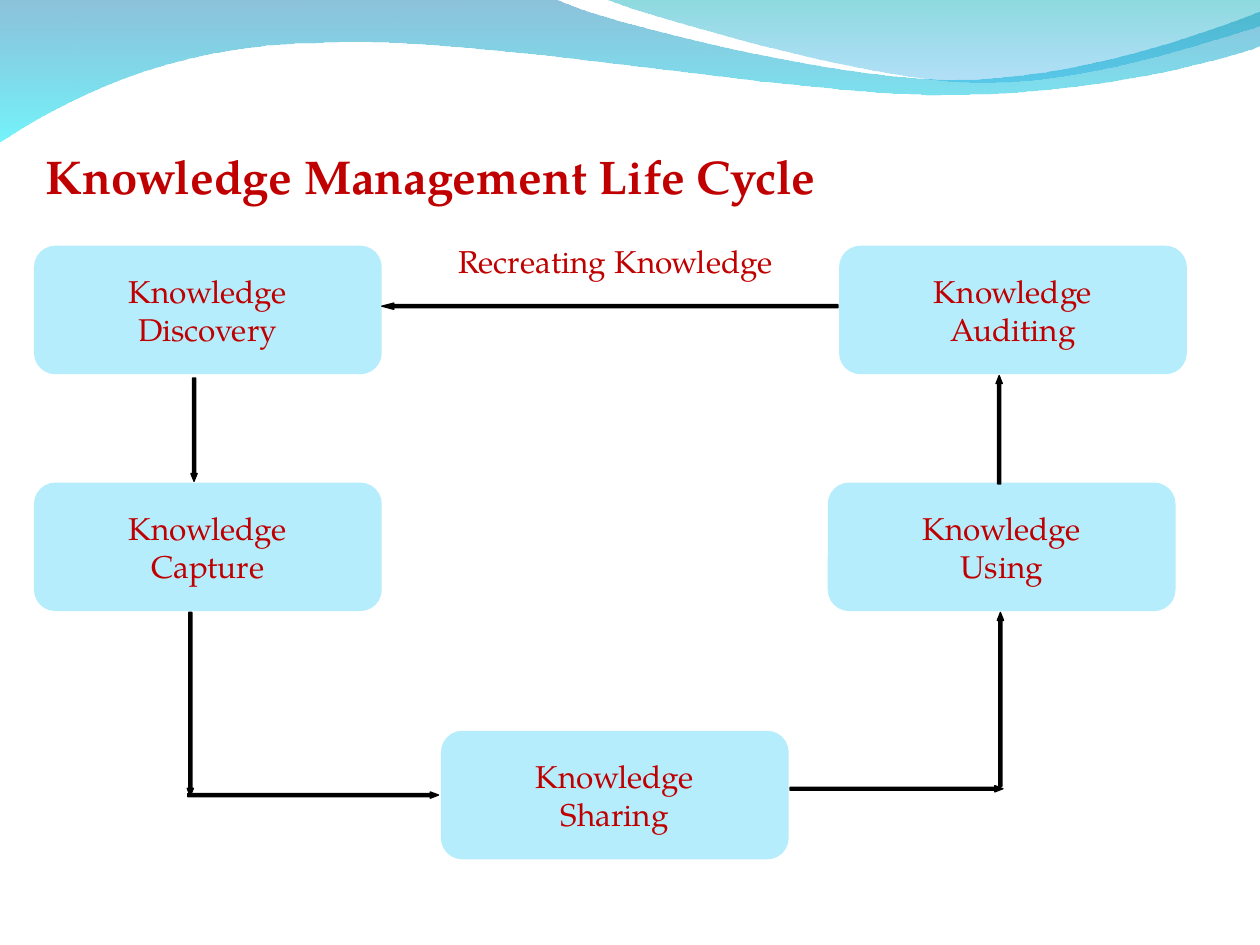
from dataclasses import dataclass

from lxml.etree import SubElement
from pptx import Presentation
from pptx.dml.color import RGBColor
from pptx.enum.shapes import MSO_SHAPE
from pptx.enum.text import MSO_ANCHOR, PP_ALIGN
from pptx.oxml.ns import qn
from pptx.util import Pt

PX = 9144  # EMU in one px, at 100 px to the inch


@dataclass(frozen=True)
class Theme:
    font: str = "TeX Gyre Pagella"
    text: str = "C00000"
    box: str = "B5EDFD"
    arrow: str = "000000"
    # colour and opacity in percent, top then bottom
    back_wave: tuple = (("0079AF", 45), ("00EBF8", 55))
    front_wave: tuple = (("00ADB6", 45), ("009BE5", 30))
    title_size: int = 27
    body_size: int = 18


THEME = Theme()
BOX_WIDTH, BOX_HEIGHT = 276, 102
TOP_ROW, MIDDLE_ROW, BOTTOM_ROW = 195, 383, 580
STAGES = [
    ("Discovery", 27, TOP_ROW),
    ("Capture", 27, MIDDLE_ROW),
    ("Sharing", 350, BOTTOM_ROW),
    ("Auditing", 666, TOP_ROW),
    ("Using", 657, MIDDLE_ROW),
]
# tail, tip, head length as a multiple of the arrow's thickness
ARROWS = [
    ((665, 243), (303, 243), 1.92),
    ((149, 631), (348, 631), 1.3),
    ((151, 486), (151, 632), 1.26),
    ((154, 300), (154, 382), 1.23),
    ((627, 626), (796, 626), 1.3),
    ((794, 624), (794, 486), 1.26),
    ((793, 384), (793, 298), 1.26),
]
ARROW_THICKNESS = 5


def scaled(*lengths):
    return [round(length * PX) for length in lengths]


def write_text(shape, *lines, size=THEME.body_size, bold=False, align=PP_ALIGN.CENTER,
               anchor=MSO_ANCHOR.MIDDLE, line_spacing=None):
    frame = shape.text_frame
    frame.word_wrap = True
    frame.vertical_anchor = anchor
    frame.text = "\n".join(lines)
    for paragraph in frame.paragraphs:
        paragraph.alignment = align
        paragraph.line_spacing = line_spacing
        font = paragraph.font
        font.name, font.size, font.bold = THEME.font, Pt(size), bold
        font.color.rgb = RGBColor.from_string(THEME.text)


def bend_lines(wave, segments):
    """Turn each line whose segment has control points into a cubic curve."""
    lines = wave._element.findall(".//" + qn("a:lnTo"))
    for line, segment in zip(lines, segments):
        if len(segment) == 1:
            continue
        for old_point in list(line):
            line.remove(old_point)
        line.tag = qn("a:cubicBezTo")
        for point in segment:
            x, y = scaled(*point)
            SubElement(line, qn("a:pt"), x=str(x - wave.left), y=str(y - wave.top))


def add_wave(slide, segments, stops):
    """Draw a closed outline; a segment is one point, or three for a curve."""
    corners = [scaled(*segment[-1]) for segment in segments]
    builder = slide.shapes.build_freeform(*corners[0], scale=1.0)
    builder.add_line_segments(corners[1:], close=True)
    wave = builder.convert_to_shape()
    bend_lines(wave, segments[1:])
    wave.shadow.inherit = False
    wave.line.fill.background()
    wave.fill.gradient()
    wave.fill.gradient_angle = 270
    for stop, (color, _) in zip(wave.fill.gradient_stops, stops):
        stop.color.rgb = RGBColor.from_string(color)
    color_elements = wave._element.spPr.findall(".//" + qn("a:srgbClr"))
    for element, (_, opacity) in zip(color_elements, stops):
        SubElement(element, qn("a:alpha")).set("val", str(opacity * 1000))


def add_header_waves(slide):
    add_wave(slide, [
        [(-1, -1)], [(440, -1)],
        [(476, 17), (664, 63), (758, 63)],
        [(853, 63), (958, 26), (1000, 9)],
        [(1001, 36)],
        [(983, 44), (870, 76), (746, 75)],
        [(622, 75), (382, 28), (257, 34)],
        [(129, 35), (46, 83), (-1, 113)],
    ], THEME.back_wave)
    add_wave(slide, [
        [(479, -1)],
        [(509, 11), (682, 62), (769, 65)],
        [(856, 69), (961, 32), (1000, 21)],
        [(1000, 0)],
    ], THEME.front_wave)


def add_title(slide, left, top, width, height):
    title = slide.shapes.title
    title.left, title.top, title.width, title.height = scaled(left, top, width, height)
    frame = title.text_frame
    frame.margin_left = frame.margin_right = frame.margin_top = frame.margin_bottom = 11 * PX
    write_text(title, "Knowledge Management Life Cycle", size=THEME.title_size,
               bold=True, align=PP_ALIGN.LEFT, line_spacing=0.9)


def add_solid_shape(slide, kind, box, color):
    shape = slide.shapes.add_shape(kind, *scaled(*box))
    shape.shadow.inherit = False
    shape.fill.solid()
    shape.fill.fore_color.rgb = RGBColor.from_string(color)
    shape.line.fill.background()
    return shape


def add_stage(slide, name, left, top):
    stage = add_solid_shape(slide, MSO_SHAPE.ROUNDED_RECTANGLE,
                            (left, top, BOX_WIDTH, BOX_HEIGHT), THEME.box)
    write_text(stage, "Knowledge", name)


def add_arrow(slide, tail, tip, head):
    """Draw a level or upright block arrow from tail to tip."""
    across, down = tip[0] - tail[0], tip[1] - tail[1]
    length = abs(across) + abs(down)
    left = (tail[0] + tip[0] - length) / 2
    top = (tail[1] + tip[1] - ARROW_THICKNESS) / 2
    kind = MSO_SHAPE.LEFT_ARROW if across < 0 else MSO_SHAPE.RIGHT_ARROW
    arrow = add_solid_shape(slide, kind, (left, top, length, ARROW_THICKNESS), THEME.arrow)
    arrow.adjustments[1] = head
    arrow.line.color.rgb = RGBColor.from_string(THEME.arrow)
    arrow.line.width = 0
    if down:
        arrow.rotation = 90 if down > 0 else 270


def add_cycle(slide):
    for stage in STAGES:
        add_stage(slide, *stage)
    for arrow in ARROWS:
        add_arrow(slide, *arrow)
    label = slide.shapes.add_textbox(*scaled(323, 187, 331, 40))
    write_text(label, "Recreating Knowledge", anchor=MSO_ANCHOR.TOP)


def main():
    presentation = Presentation()
    presentation.slide_width, presentation.slide_height = scaled(1000, 750)
    slide = presentation.slides.add_slide(presentation.slide_layouts[5])
    add_header_waves(slide)
    add_cycle(slide)
    add_title(slide, 25, 111, 1000, 63)
    presentation.save("out.pptx")


if __name__ == "__main__":
    main()
